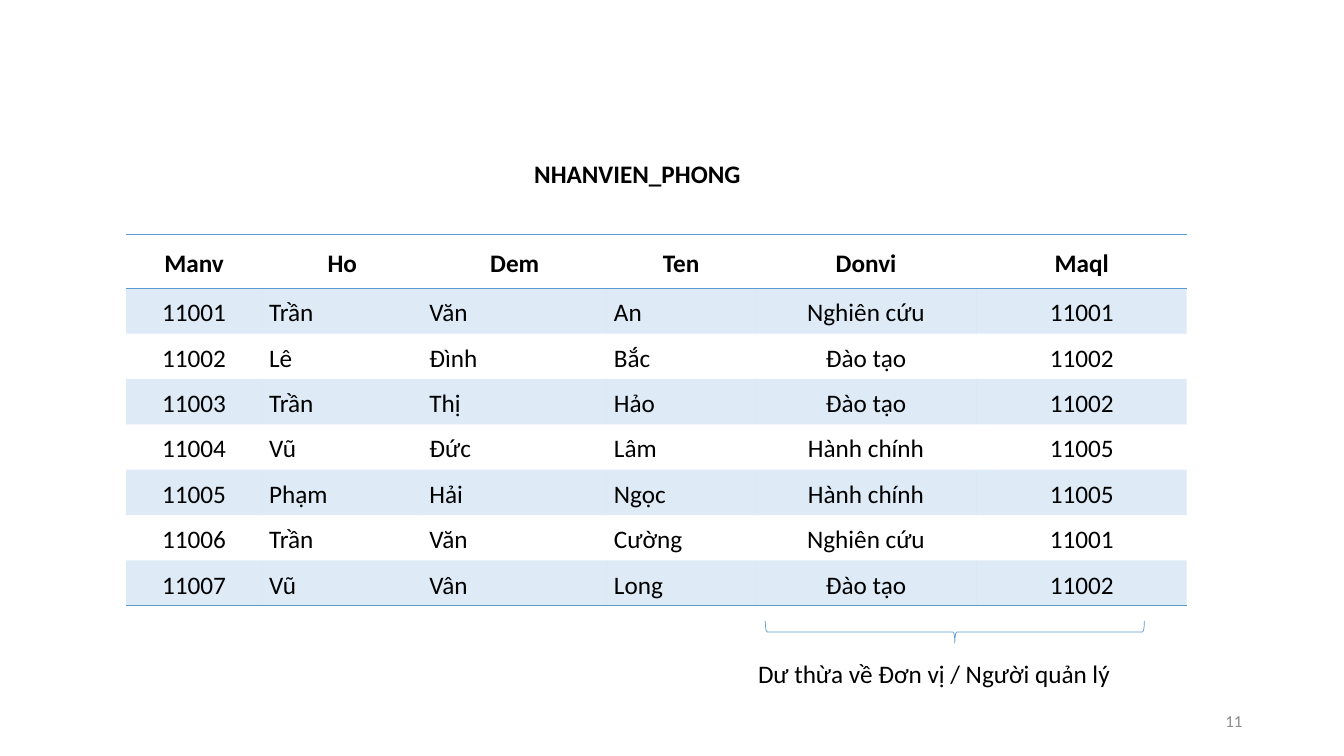
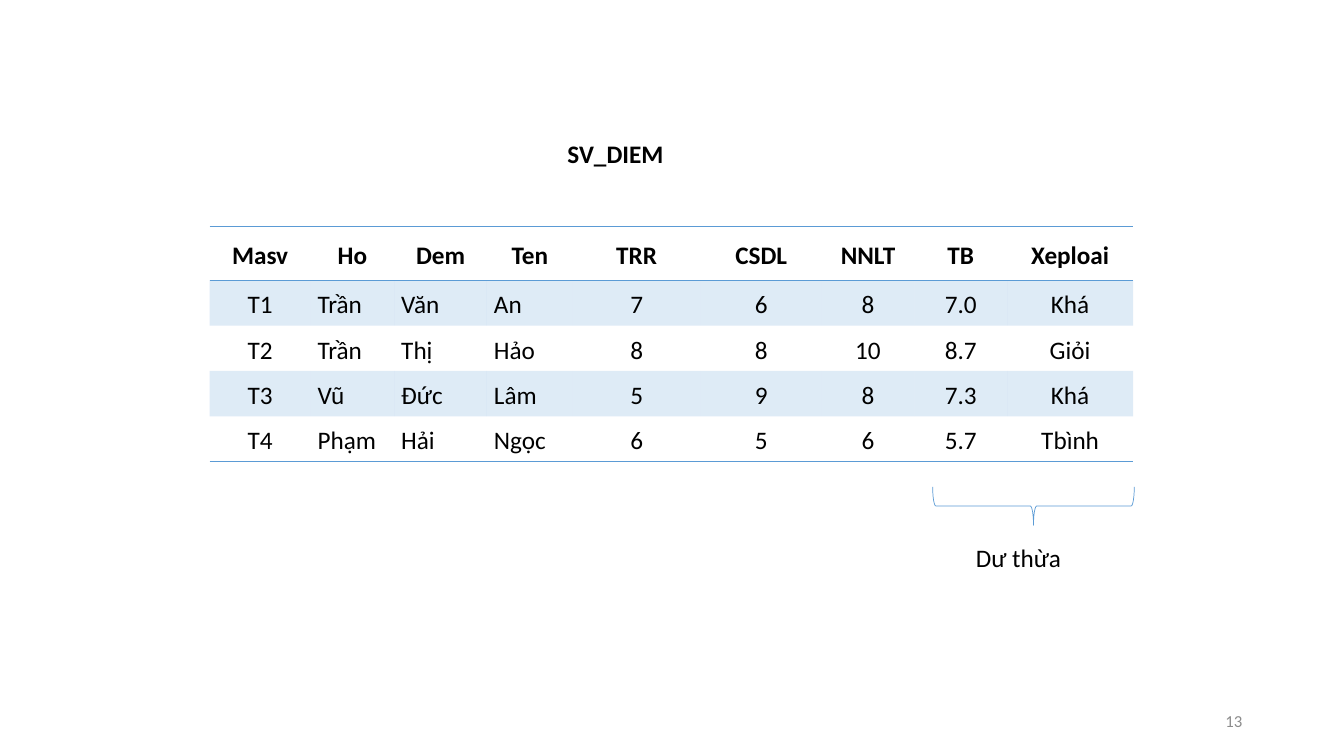
import dataclasses

import pptx
import pptx.dml.color
import pptx.enum.shapes
import pptx.enum.text
import pptx.oxml
import pptx.oxml.ns
import pptx.util

Inches, Pt = pptx.util.Inches, pptx.util.Pt
RGB = pptx.dml.color.RGBColor.from_string
ALIGN = pptx.enum.text.PP_ALIGN
MIDDLE = pptx.enum.text.MSO_ANCHOR.MIDDLE
NO_STYLE_NO_GRID = "{2D5ABB26-0587-4C30-8999-92F81FD0307C}"


@dataclasses.dataclass(frozen=True)
class Theme:
    font: str = "Calibri"
    ink: str = "000000"
    accent: str = "5B9BD5"
    muted: str = "8C8C8C"
    body_size: int = 18
    number_size: int = 12
    rule_width: float = 1
    brace_width: float = 0.5
    band_opacity: int = 20
    line_spacing: float = 1.15
    cell_margin: float = 0.07
    header_height: float = 0.53
    row_height: float = 0.45
    text_height: float = 0.4


THEME = Theme()
NAME_COLUMNS = ("Ho", "Dem", "Ten")


def add_span(para, text, size=THEME.body_size, color=THEME.ink, bold=False):
    span = para.add_run()
    span.text = text
    span.font.name = THEME.font
    span.font.size = Pt(size)
    span.font.bold = bold
    span.font.color.rgb = RGB(color)


def add_label(page, left, top, width, text, wrap=False, **style):
    box = page.shapes.add_textbox(
        Inches(left), Inches(top), Inches(width), Inches(THEME.text_height))
    box.text_frame.word_wrap = wrap
    add_span(box.text_frame.paragraphs[0], text, **style)
    return box.text_frame


def add_page_number(page, number):
    frame = add_label(page, 9.42, 6.95, 3, str(number), wrap=True,
                      size=THEME.number_size, color=THEME.muted)
    frame.vertical_anchor = MIDDLE
    frame.paragraphs[0].alignment = ALIGN.RIGHT


def add_rule(cell, side):
    """Draw a cell border; side is T for top or B for bottom."""
    namespace = pptx.oxml.ns.nsdecls("a")
    cell._tc.get_or_add_tcPr().append(pptx.oxml.parse_xml(
        f'<a:ln{side} {namespace} w="{Pt(THEME.rule_width)}"><a:solidFill>'
        f'<a:srgbClr val="{THEME.accent}"/></a:solidFill></a:ln{side}>'))


def shade(cell):
    cell.fill.solid()
    cell.fill.fore_color.rgb = RGB(THEME.accent)
    for color in cell._tc.tcPr.findall(pptx.oxml.ns.qn("a:solidFill") + "/*"):
        alpha = color.makeelement(pptx.oxml.ns.qn("a:alpha"),
                                  {"val": str(THEME.band_opacity * 1000)})
        color.append(alpha)


def fill_cell(cell, text, bold, centered):
    cell.vertical_anchor = MIDDLE
    cell.margin_left = cell.margin_right = Inches(THEME.cell_margin)
    cell.margin_top = cell.margin_bottom = 0
    para = cell.text_frame.paragraphs[0]
    para.alignment = ALIGN.CENTER if centered else ALIGN.LEFT
    para.line_spacing = THEME.line_spacing
    add_span(para, text, bold=bold)


def add_records(page, left, top, widths, rows):
    """Place a ruled, banded table whose first row is the header."""
    heights = [THEME.header_height] + [THEME.row_height] * (len(rows) - 1)
    table = page.shapes.add_table(
        len(rows), len(widths), Inches(left), Inches(top),
        Inches(sum(widths)), Inches(sum(heights))).table
    table._tbl.tblPr.find(pptx.oxml.ns.qn("a:tableStyleId")).text = NO_STYLE_NO_GRID
    for column, width in zip(table.columns, widths):
        column.width = Inches(width)
    for index, (row, height) in enumerate(zip(rows, heights)):
        table.rows[index].height = Inches(height)
        is_header = index == 0
        for position, text in enumerate(row):
            cell = table.cell(index, position)
            centered = is_header or rows[0][position] not in NAME_COLUMNS
            fill_cell(cell, text, is_header, centered)
            if is_header:
                add_rule(cell, "T")
            if is_header or index == len(rows) - 1:
                add_rule(cell, "B")
            if index % 2:
                shade(cell)
            else:
                cell.fill.background()


def add_brace_below(page, left, top, width, height):
    """Place a brace that opens upward and spans the given box."""
    center_x, center_y = left + width / 2, top + height / 2
    brace = page.shapes.add_shape(
        pptx.enum.shapes.MSO_SHAPE.RIGHT_BRACE,
        Inches(center_x - height / 2), Inches(center_y - width / 2),
        Inches(height), Inches(width))
    brace.rotation = 90
    brace.shadow.inherit = False
    brace.fill.background()
    brace.line.color.rgb = RGB(THEME.accent)
    brace.line.width = Pt(THEME.brace_width)


def add_table_page(deck, number, title, records, brace, note):
    page = deck.slides.add_slide(deck.slide_layouts[6])
    add_label(page, *title, bold=True)
    add_records(page, *records)
    add_brace_below(page, *brace)
    add_label(page, *note)
    add_page_number(page, number)


EMPLOYEES = [
    ("Manv", "Ho", "Dem", "Ten", "Donvi", "Maql"),
    ("11001", "Trần", "Văn", "An", "Nghiên cứu", "11001"),
    ("11002", "Lê", "Đình", "Bắc", "Đào tạo", "11002"),
    ("11003", "Trần", "Thị", "Hảo", "Đào tạo", "11002"),
    ("11004", "Vũ", "Đức", "Lâm", "Hành chính", "11005"),
    ("11005", "Phạm", "Hải", "Ngọc", "Hành chính", "11005"),
    ("11006", "Trần", "Văn", "Cường", "Nghiên cứu", "11001"),
    ("11007", "Vũ", "Vân", "Long", "Đào tạo", "11002"),
]
GRADES = [
    ("Masv", "Ho", "Dem", "Ten", "TRR", "CSDL", "NNLT", "TB", "Xeploai"),
    ("T1", "Trần", "Văn", "An", "7", "6", "8", "7.0", "Khá"),
    ("T2", "Trần", "Thị", "Hảo", "8", "8", "10", "8.7", "Giỏi"),
    ("T3", "Vũ", "Đức", "Lâm", "5", "9", "8", "7.3", "Khá"),
    ("T4", "Phạm", "Hải", "Ngọc", "6", "5", "6", "5.7", "Tbình"),
]


def main():
    deck = pptx.Presentation()
    deck.slide_width, deck.slide_height = Inches(13.33), Inches(7.5)
    add_table_page(
        deck, 11,
        title=(5.2, 1.52, 2.27, "NHANVIEN_PHONG"),
        records=(1.25, 2.33, (1.35, 1.59, 1.83, 1.47, 2.2, 2.08), EMPLOYEES),
        brace=(7.59, 6.16, 3.76, 0.22),
        note=(7.42, 6.48, 5.33, "Dư thừa về Đơn vị / Người quản lý", True))
    add_table_page(
        deck, 13,
        title=(5.53, 1.32, 1.16, "SV_DIEM"),
        records=(2.08, 2.25,
                 (1, 0.83, 0.92, 0.85, 1.27, 1.2, 0.92, 0.92, 1.25), GRADES),
        brace=(9.25, 4.83, 2, 0.38),
        note=(9.58, 5.33, 1.06, "Dư thừa"))
    deck.save("out.pptx")


if __name__ == "__main__":
    main()
